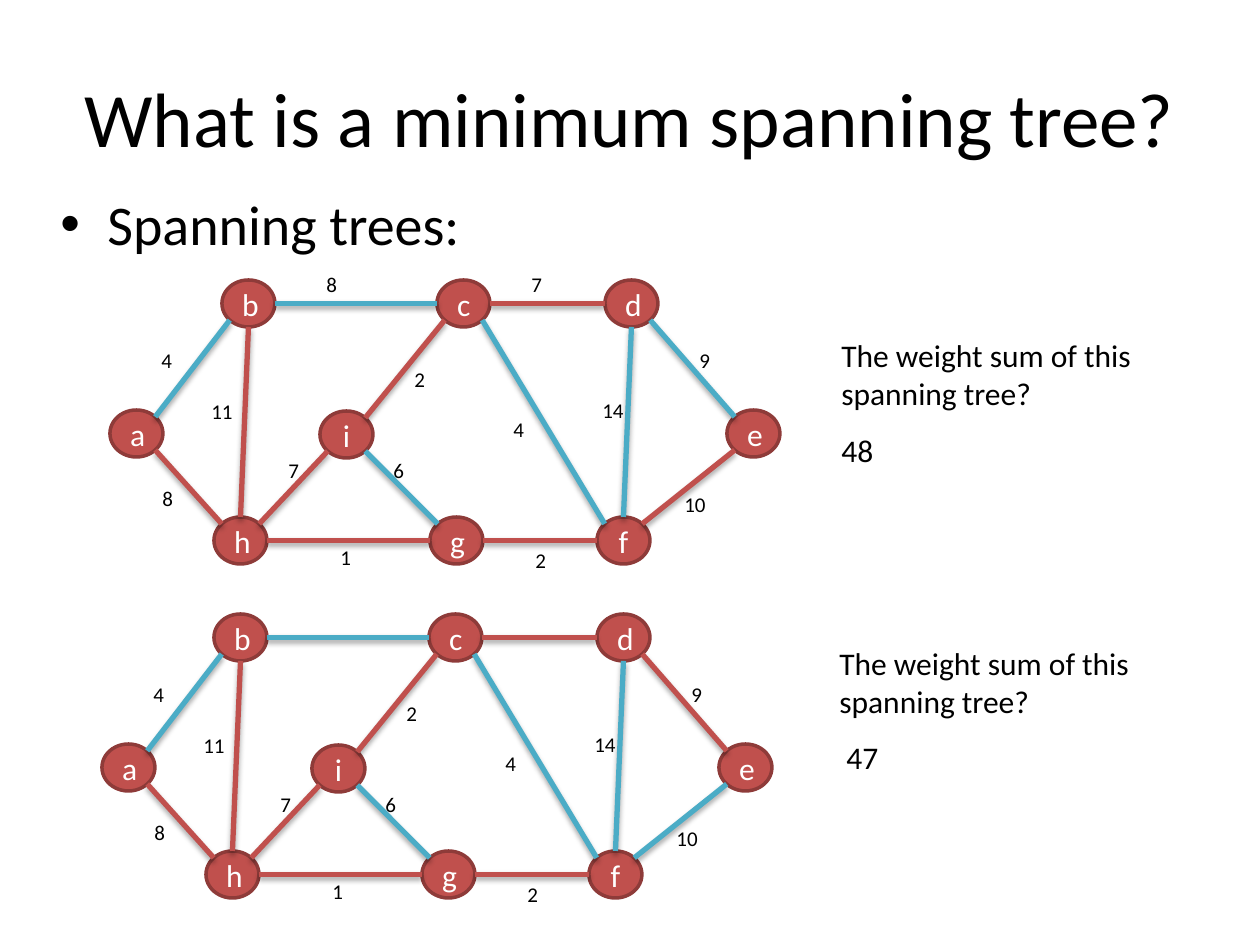
import dataclasses
import math

import lxml.etree
import pptx
import pptx.dml.color
import pptx.enum.shapes
import pptx.enum.text
import pptx.oxml.ns
import pptx.util

EMU_PER_PX = 914400 // 126
NODE_WIDTH, NODE_HEIGHT = 53, 47
LABEL_HEIGHT = 38


@dataclasses.dataclass(frozen=True)
class Theme:
    font: str = "Calibri"
    text: str = "000000"
    node_text: str = "FFFFFF"
    node: str = "C0504D"
    node_border: str = "8E3B39"
    edge: str = "C0504D"
    tree_edge: str = "4BACC6"
    title_size: int = 44
    body_size: int = 32
    note_size: int = 18
    weight_size: int = 12


THEME = Theme()

# Left and top corner of each node in the upper graph
NODES = {
    "a": (110, 410), "b": (222, 280), "h": (214, 517),
    "i": (320, 411), "c": (437, 280), "g": (430, 517),
    "d": (605, 280), "e": (727, 410), "f": (597, 517),
}

# Ends, side of each end, weight, and left, top and width of the weight label
EDGES = [
    ("bc", "E", "W", 8, (314, 265, 42)),
    ("ba", "SW", "NE", 4, (149, 341, 42)),
    ("cd", "E", "W", 7, (519, 265, 42)),
    ("de", "SE", "NW", 9, (687, 341, 42)),
    ("ef", "SW", "NE", 10, (672, 485, 58)),
    ("gf", "E", "W", 2, (523, 541, 42)),
    ("gh", "W", "E", 1, (328, 538, 42)),
    ("ah", "SE", "NW", 8, (150, 479, 42)),
    ("bh", "S", "N", 11, (199, 392, 50)),
    ("ih", "SW", "NE", 7, (276, 451, 42)),
    ("ig", "SE", "NW", 6, (381, 451, 42)),
    ("ci", "SW", "NE", 2, (402, 360, 42)),
    ("cf", "SE", "NW", 4, (501, 410, 42)),
    ("df", "S", "N", 14, (590, 391, 60)),
]

SIDES = ("E", "SE", "S", "SW", "W", "NW", "N", "NE")


def px(length):
    return pptx.util.Emu(round(length * EMU_PER_PX))


def rgb(value):
    return pptx.dml.color.RGBColor.from_string(value)


def style_paragraph(paragraph, size, color, alignment=None):
    paragraph.font.name = THEME.font
    paragraph.font.size = pptx.util.Pt(size)
    paragraph.font.color.rgb = rgb(color)
    paragraph.alignment = alignment


def add_text(slide, text, box, size, grow=True):
    shape = slide.shapes.add_textbox(*map(px, box))
    frame = shape.text_frame
    frame.word_wrap = True
    if grow:
        frame.auto_size = pptx.enum.text.MSO_AUTO_SIZE.SHAPE_TO_FIT_TEXT
    frame.text = text
    style_paragraph(frame.paragraphs[0], size, THEME.text)
    return frame


def add_title(slide, text):
    frame = add_text(slide, text, (63, 38, 1134, 157), THEME.title_size, grow=False)
    frame.vertical_anchor = pptx.enum.text.MSO_ANCHOR.MIDDLE
    frame.paragraphs[0].alignment = pptx.enum.text.PP_ALIGN.CENTER


def add_bullet(slide, text):
    frame = add_text(slide, text, (48, 183, 1134, 101), THEME.body_size, grow=False)
    paragraph = frame.paragraphs[0]
    paragraph.space_before = pptx.util.Pt(THEME.body_size * 0.2)
    properties = paragraph._p.get_or_add_pPr()
    indent = px(47)
    properties.set("marL", str(indent))
    properties.set("indent", str(-indent))
    font = lxml.etree.SubElement(properties, pptx.oxml.ns.qn("a:buFont"), typeface="Arial")
    bullet = lxml.etree.Element(pptx.oxml.ns.qn("a:buChar"), char="•")
    font.addnext(bullet)
    # Bullet settings precede the default run properties in the schema
    defaults = properties.find(pptx.oxml.ns.qn("a:defRPr"))
    defaults.addprevious(font)
    defaults.addprevious(bullet)


def add_node(slide, name, left, top):
    shape = slide.shapes.add_shape(
        pptx.enum.shapes.MSO_SHAPE.OVAL, *map(px, (left, top, NODE_WIDTH, NODE_HEIGHT)))
    shape.shadow.inherit = False
    shape.fill.solid()
    shape.fill.fore_color.rgb = rgb(THEME.node)
    shape.line.color.rgb = rgb(THEME.node_border)
    shape.line.width = pptx.util.Pt(2)
    frame = shape.text_frame
    frame.vertical_anchor = pptx.enum.text.MSO_ANCHOR.MIDDLE
    frame.text = name
    style_paragraph(frame.paragraphs[0], THEME.note_size, THEME.node_text,
                    pptx.enum.text.PP_ALIGN.CENTER)


def rim_point(corner, side):
    """Return the point on a node's rim in the given compass direction."""
    angle = SIDES.index(side) * math.pi / 4
    return (corner[0] + NODE_WIDTH / 2 * (1 + math.cos(angle)),
            corner[1] + NODE_HEIGHT / 2 * (1 + math.sin(angle)))


def add_shadow(connector):
    qn = pptx.oxml.ns.qn
    effects = lxml.etree.SubElement(connector._element.spPr, qn("a:effectLst"))
    shadow = lxml.etree.SubElement(
        effects, qn("a:outerShdw"), blurRad=str(pptx.util.Pt(3.1)),
        dist=str(pptx.util.Pt(1.8)), dir="5400000", rotWithShape="0")
    color = lxml.etree.SubElement(shadow, qn("a:srgbClr"), val="000000")
    lxml.etree.SubElement(color, qn("a:alpha"), val="35000")


def add_edge(slide, start, end, color):
    connector = slide.shapes.add_connector(
        pptx.enum.shapes.MSO_CONNECTOR.STRAIGHT, *map(px, start + end))
    connector.line.color.rgb = rgb(color)
    connector.line.width = pptx.util.Pt(3)
    add_shadow(connector)


def add_graph(slide, shift_x, shift_y, tree, unlabelled=()):
    """Draw the graph, moved by the shift, with the edges of the tree highlighted."""
    corners = {name: (left + shift_x, top + shift_y) for name, (left, top) in NODES.items()}
    for name, corner in corners.items():
        add_node(slide, name, *corner)
    for ends, start_side, end_side, _, _ in EDGES:
        add_edge(slide, rim_point(corners[ends[0]], start_side),
                 rim_point(corners[ends[1]], end_side),
                 THEME.tree_edge if ends in tree else THEME.edge)
    for ends, _, _, weight, (left, top, width) in EDGES:
        if ends not in unlabelled:
            add_text(slide, str(weight), (left + shift_x, top + shift_y, width, LABEL_HEIGHT),
                     THEME.weight_size)


def add_weight_sum(slide, question_corner, answer_corner, answer):
    add_text(slide, "The weight sum of this spanning tree?",
             (*question_corner, 315, 89), THEME.note_size)
    add_text(slide, answer, (*answer_corner, 315, 50), THEME.note_size)


def main():
    presentation = pptx.Presentation()
    presentation.slide_width, presentation.slide_height = px(1260), px(945)
    slide = presentation.slides.add_slide(presentation.slide_layouts[6])
    shared_tree = {"bc", "ba", "ig", "cf", "df"}

    add_title(slide, "What is a minimum spanning tree?")
    add_bullet(slide, "Spanning trees:")
    add_graph(slide, 0, 0, shared_tree | {"de"})
    add_weight_sum(slide, (829, 330), (829, 425), "48")
    add_graph(slide, -8, 334, shared_tree | {"ef"}, unlabelled=("bc", "cd"))
    add_weight_sum(slide, (827, 638), (834, 732), "47")
    presentation.save("out.pptx")


if __name__ == "__main__":
    main()
